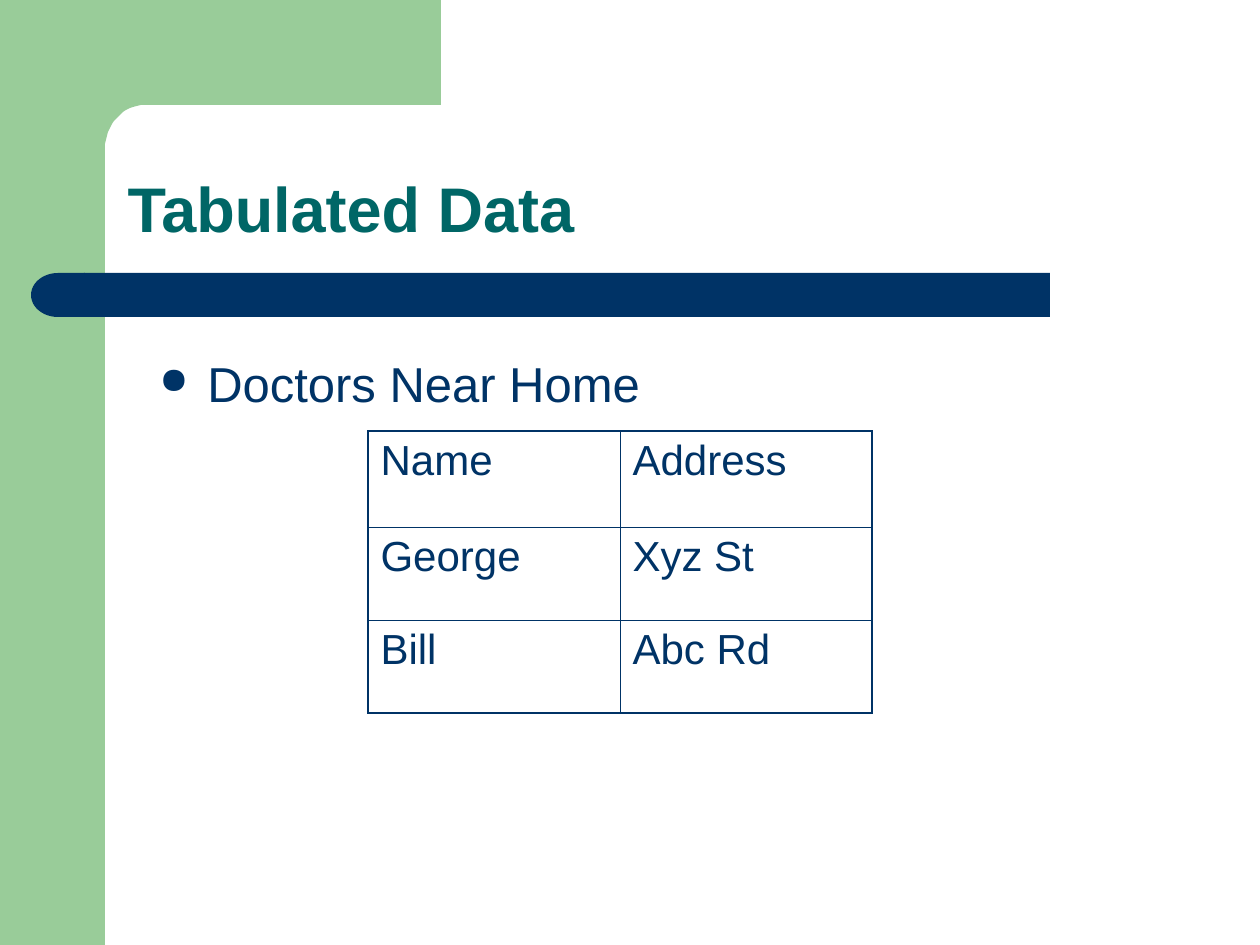
import math

from lxml import etree
from pptx import Presentation
from pptx import util as u
from pptx.dml.color import RGBColor
from pptx.enum import shapes, text
from pptx.oxml import ns

EMU_PER_PX = 914400 / 126
GREEN = RGBColor(0x99, 0xCC, 0x99)
NAVY = RGBColor(0x00, 0x33, 0x66)
TEAL = RGBColor(0x00, 0x66, 0x66)

TITLE_FONT = {"name": "Arial", "size": u.Pt(36), "bold": True}
BODY_FONT = {"name": "Arial", "size": u.Pt(28), "bold": False}
CELL_FONT = {"name": "Arial", "size": u.Pt(24), "bold": False}
FRAME = {
    "word_wrap": True,
    "auto_size": text.MSO_AUTO_SIZE.NONE,
    "margin_left": u.Inches(0.1),
    "margin_right": u.Inches(0.1),
    "margin_top": u.Inches(0.05),
    "margin_bottom": u.Inches(0.05),
}
DOCTORS = [("Name", "Address"), ("George", "Xyz St"), ("Bill", "Abc Rd")]


def px(length):
    return u.Emu(round(length * EMU_PER_PX))


def apply(target, values):
    for key, value in values.items():
        setattr(target, key, value)


def set_font(font, values, color):
    apply(font, values)
    font.color.rgb = color


def paint(shape, color):
    shape.shadow.inherit = False
    shape.fill.solid()
    shape.fill.fore_color.rgb = color
    shape.line.fill.background()


def add_block(slide, preset, box, color):
    block = slide.shapes.add_shape(preset, *map(px, box))
    paint(block, color)
    return block


def add_corner(slide, left, top, width, height):
    band, bar = 105, 42
    radius_x, radius_y = 40, 43
    center_x, center_y = left + bar + radius_x, top + band + radius_y
    steps = 16
    angles = [math.pi / 2 * step / steps for step in range(steps + 1)]
    curve = [(center_x - radius_x * math.sin(a), center_y - radius_y * math.cos(a))
             for a in angles]
    outline = [(left + width, top + band), *curve, (left + bar, top + height),
               (left, top + height), (left, top)]
    builder = slide.shapes.build_freeform(left + width, top, scale=EMU_PER_PX)
    builder.add_line_segments(outline, close=True)
    paint(builder.convert_to_shape(), GREEN)


def add_side_panel(slide, left, top, width, height):
    add_block(slide, shapes.MSO_SHAPE.RECTANGLE, (left, top, width, height), GREEN)
    add_corner(slide, left + 63, top, 378, 161)


def add_rule(slide, left, top, width, height):
    cap_width = 54
    bar_left = left + cap_width - 1
    bar = add_block(slide, shapes.MSO_SHAPE.ROUNDED_RECTANGLE,
                    (bar_left, top, left + width - bar_left, height), NAVY)
    bar.adjustments[0] = 0
    cap = add_block(slide, shapes.MSO_SHAPE.FLOWCHART_DELAY,
                    (left, top, cap_width, height), NAVY)
    cap._element.spPr.xfrm.set("flipH", "1")


def add_title(slide, left, top, width, height):
    title = slide.shapes.title
    apply(title, {"left": px(left), "top": px(top), "width": px(width), "height": px(height)})
    slide.shapes._spTree.append(title._element)
    frame = title.text_frame
    apply(frame, {**FRAME, "vertical_anchor": text.MSO_ANCHOR.BOTTOM})
    frame.text = "Tabulated Data"
    heading = frame.paragraphs[0]
    apply(heading, {"alignment": text.PP_ALIGN.LEFT, "line_spacing": 0.9})
    set_font(heading.runs[0].font, TITLE_FONT, TEAL)


def add_bullet(paragraph, indent):
    props = paragraph._p.get_or_add_pPr()
    props.set("marL", str(px(indent)))
    props.set("indent", str(-px(indent)))
    color = etree.SubElement(props, ns.qn("a:buClr"))
    etree.SubElement(color, ns.qn("a:srgbClr"), val=str(NAVY))
    etree.SubElement(props, ns.qn("a:buSzPct"), val="75000")
    etree.SubElement(props, ns.qn("a:buChar"), char="●")


def add_body(slide, left, top, width, height):
    body = slide.shapes.add_textbox(*map(px, (left, top, width, height)))
    apply(body.text_frame, FRAME)
    topic = body.text_frame.paragraphs[0]
    add_bullet(topic, 48)
    topic.add_run().text = "Doctors Near Home"
    set_font(topic.runs[0].font, BODY_FONT, NAVY)


def add_borders(cell, widths):
    props = cell._tc.get_or_add_tcPr()
    for side, width in widths.items():
        border = etree.SubElement(props, ns.qn(f"a:ln{side}"), w=str(u.Pt(width)))
        fill = etree.SubElement(border, ns.qn("a:solidFill"))
        etree.SubElement(fill, ns.qn("a:srgbClr"), val=str(NAVY))


def add_doctors(slide, left, top, column_width, row_heights):
    columns = len(DOCTORS[0])
    box = (left, top, column_width * columns, sum(row_heights))
    table = slide.shapes.add_table(len(DOCTORS), columns, *map(px, box)).table
    apply(table, {"first_row": False, "horz_banding": False})
    for column in table.columns:
        column.width = px(column_width)
    outer, inner = 1.08, 0.45
    for r, (row, height) in enumerate(zip(DOCTORS, row_heights)):
        table.rows[r].height = px(height)
        for c, entry in enumerate(row):
            cell = table.cell(r, c)
            cell.text = entry
            set_font(cell.text_frame.paragraphs[0].runs[0].font, CELL_FONT, NAVY)
            add_borders(cell, {
                "L": outer if c == 0 else inner,
                "R": outer if c == columns - 1 else inner,
                "T": outer if r == 0 else inner,
                "B": outer if r == len(DOCTORS) - 1 else inner,
            })
            cell.fill.background()


def main():
    deck = Presentation()
    apply(deck, {"slide_width": px(1260), "slide_height": px(945)})
    slide = deck.slides.add_slide(deck.slide_layouts[5])
    add_side_panel(slide, 0, 0, 105, 945)
    add_rule(slide, 31, 273, 1019, 44)
    add_title(slide, 115, 115, 1072, 137)
    add_body(slide, 147, 347, 1060, 513)
    add_doctors(slide, 368, 431, 252, (96, 93, 93))
    deck.save("out.pptx")


if __name__ == "__main__":
    main()
